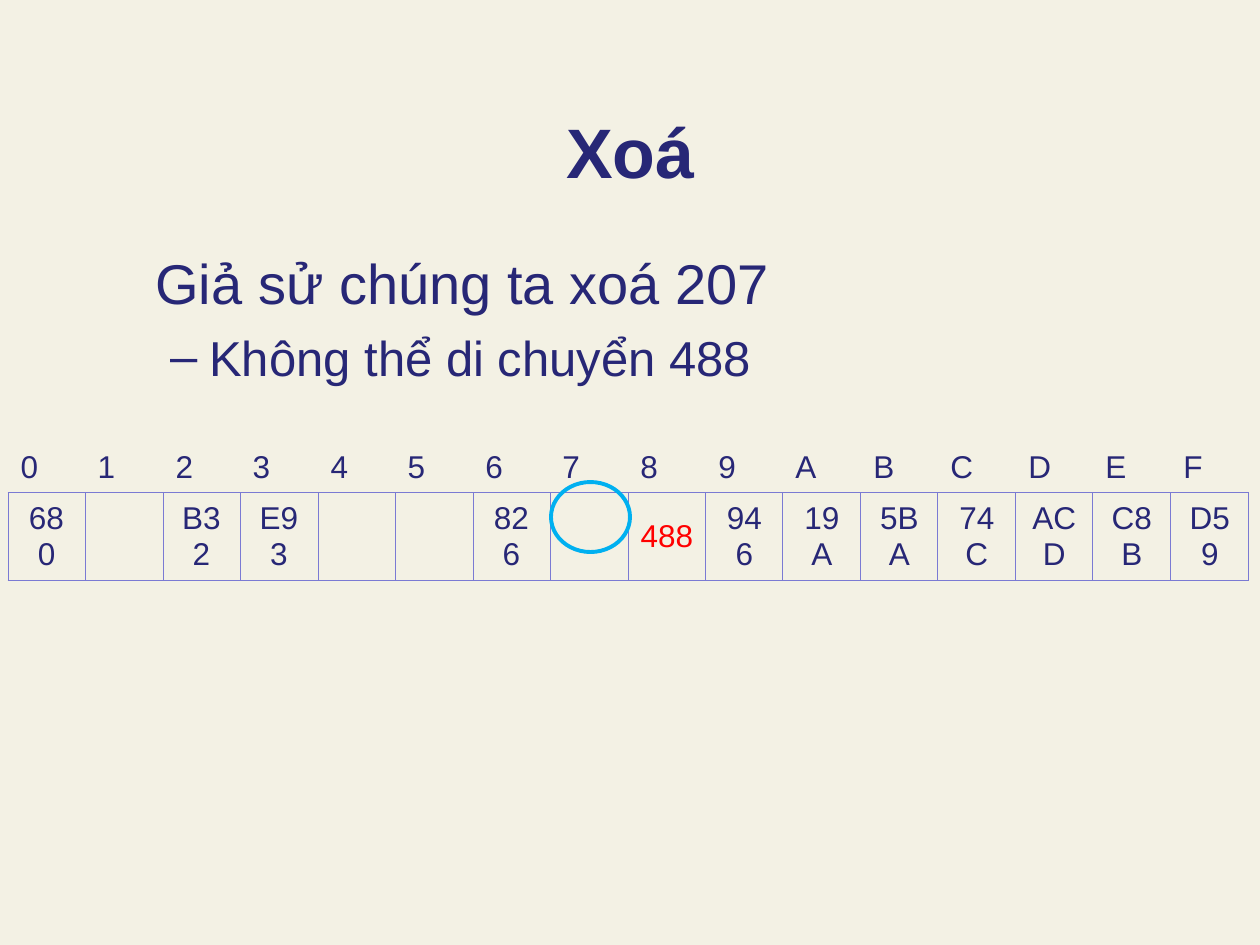
from lxml.etree import SubElement as Sub
from pptx import Presentation
from pptx.dml.color import RGBColor
from pptx.enum.shapes import MSO_SHAPE as Shape
from pptx.enum.text import MSO_ANCHOR as Anchor, PP_ALIGN as Align
from pptx.oxml.ns import qn
from pptx.util import Pt

PX = 914400 / 126
INK, RED, EDGE = "272776", "FF0000", "7A7AD3"


def px(*nums):
    """Turn pixel lengths into a list of EMU."""
    return [round(n * PX) for n in nums]


def write(par, text, size, color=INK, bold=False):
    run = par.add_run()
    run.text = text
    run.font.name, run.font.size, run.font.bold = "Arial", Pt(size), bold
    run.font.color.rgb = RGBColor.from_string(color)


deck = Presentation()
deck.slide_width, deck.slide_height = px(1260, 945)
slide = deck.slides.add_slide(deck.slide_layouts[6])
back = slide.background.fill
back.solid()
back.fore_color.rgb = RGBColor.from_string("F3F1E4")

# Title
frame = slide.shapes.add_textbox(*px(95, 63, 1071, 136)).text_frame
frame.word_wrap = True
frame.vertical_anchor = Anchor.BOTTOM
frame.paragraphs[0].alignment = Align.CENTER
write(frame.paragraphs[0], "Xoá", 40, bold=True)

# Body
frame = slide.shapes.add_textbox(*px(95, 242, 1071, 588)).text_frame
frame.word_wrap = True
lead = frame.paragraphs[0]
lead._p.get_or_add_pPr().set("marL", str(px(48)[0]))
write(lead, "Giả sử chúng ta xoá 207", 32)

item = frame.add_paragraph()
item.level = 1
item.space_before = Pt(7)
props = item._p.get_or_add_pPr()
left, hang = px(102, -39)
props.set("marL", str(left))
props.set("indent", str(hang))
Sub(Sub(props, qn("a:buClr")), qn("a:srgbClr"), val=INK)
Sub(props, qn("a:buFont"), typeface="Arial")
Sub(props, qn("a:buChar"), char="–")
write(item, "Không thể di chuyển 488", 28)

# Hash table: bin numbers above, stored keys below
bins = "0123456789ABCDEF"
keys = ["680", "", "B32", "E93", "", "", "826", "",
        "488", "946", "19A", "5BA", "74C", "ACD", "C8B", "D59"]
wide = 1241
table = slide.shapes.add_table(2, len(bins), *px(8, 442, wide, 110)).table
table.first_row = table.horz_banding = False
style = table._tbl.tblPr.find(qn("a:tableStyleId"))
style.text = "{2D5ABB26-0587-4C30-8999-92F81FD0307C}"
table.rows[0].height, table.rows[1].height = px(42, 68)
stops = px(*[wide * i // len(bins) for i in range(len(bins) + 1)])

for col, pair in enumerate(zip(bins, keys)):
    table.columns[col].width = stops[col + 1] - stops[col]
    for row, text in enumerate(pair):
        cell = table.cell(row, col)
        cell.vertical_anchor = Anchor.MIDDLE
        par = cell.text_frame.paragraphs[0]
        par.alignment = Align.CENTER if row else Align.LEFT
        if text:
            write(par, text, 18, RED if text == "488" else INK)
        sides = ("lnL", "lnR", "lnT", "lnB") if row else ("lnB",)
        for side in sides:
            line = Sub(cell._tc.get_or_add_tcPr(), qn("a:" + side), w=str(Pt(0.45)))
            Sub(Sub(line, qn("a:solidFill")), qn("a:srgbClr"), val=EDGE)
        cell.fill.background()

# Ring round the emptied bin
ring = slide.shapes.add_shape(Shape.OVAL, *px(551, 482, 79, 70))
ring.shadow.inherit = False
ring.fill.background()
ring.line.color.rgb = RGBColor.from_string("00B0F0")
ring.line.width = Pt(2.25)

deck.save("out.pptx")
